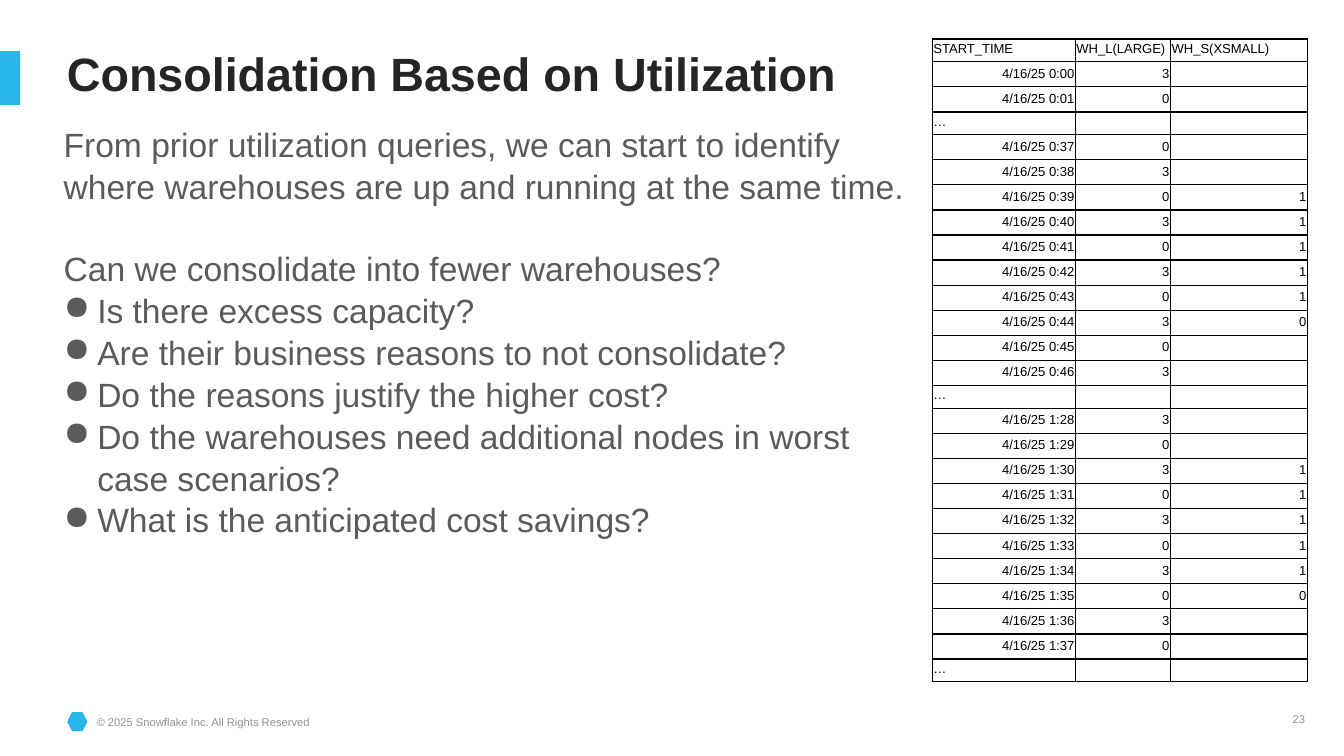
from lxml.etree import SubElement as Sub
from pptx import Presentation
from pptx.dml.color import RGBColor as RGB
from pptx.enum.shapes import MSO_SHAPE as Shape
from pptx.enum.text import MSO_ANCHOR as Anchor, PP_ALIGN as Align
from pptx.oxml.ns import qn
from pptx.util import Pt

COLORS = {"blue": "28B5E8", "title": "252525", "body": "5B5B5B",
          "foot": "929292", "black": "000000"}

INTRO = ["From prior utilization queries, we can start to identify "
         "where warehouses are up and running at the same time.",
         "Can we consolidate into fewer warehouses?"]
POINTS = ["Is there excess capacity?",
          "Are their business reasons to not consolidate?",
          "Do the reasons justify the higher cost?",
          "Do the warehouses need additional nodes in worst case scenarios?",
          "What is the anticipated cost savings?"]

HEAD = ["START_TIME", "WH_L(LARGE)", "WH_S(XSMALL)"]
# Hour, first minute, then one reading a minute for each warehouse ("-" is none)
SPANS = [(0, 0, "30", "--"),
         (0, 37, "0303030303", "--111110--"),
         (1, 28, "3030303030", "--111110--")]


def usage():
    """Return the table rows, with an ellipsis row after each span."""
    rows = [HEAD]
    for hour, first, large, small in SPANS:
        for step, (big, tiny) in enumerate(zip(large, small)):
            rows.append([f"4/16/25 {hour}:{first + step:02}", big,
                         tiny.replace("-", "")])
        rows.append(["…", "", ""])
    return rows


class Deck:
    """Holds the font, the colours and the current slide."""

    def __init__(self, wide, high):
        self.font = "Arial"
        self.file = Presentation()
        self.file.slide_width, self.file.slide_height = Pt(wide), Pt(high)
        self.slide = self.file.slides.add_slide(self.file.slide_layouts[6])

    def color(self, name):
        return RGB.from_string(COLORS[name])

    def style(self, para, size, color, bold=False):
        font = para.font
        font.name, font.size, font.bold = self.font, Pt(size), bold
        font.color.rgb = self.color(color)

    def block(self, kind, x, y, w, h, color):
        shape = self.slide.shapes.add_shape(kind, Pt(x), Pt(y), Pt(w), Pt(h))
        shape.shadow.inherit = False
        shape.fill.solid()
        shape.fill.fore_color.rgb = self.color(color)
        shape.line.fill.background()

    def text(self, x, y, w, h, lines, size, color, bold=False, pad=0,
             align=Align.LEFT, space=1.0):
        """Add a text box and return its paragraphs."""
        box = self.slide.shapes.add_textbox(Pt(x), Pt(y), Pt(w), Pt(h))
        frame = box.text_frame
        frame.word_wrap = True
        frame.margin_left = frame.margin_right = Pt(pad)
        frame.margin_top = frame.margin_bottom = Pt(pad)
        frame.text = "\n".join(lines)
        for para in frame.paragraphs:
            para.alignment, para.line_spacing = align, space
            self.style(para, size, color, bold)
        return frame.paragraphs

    def bullet(self, para, indent, color):
        props = para._p.get_or_add_pPr()
        props.set("marL", str(Pt(indent)))
        props.set("indent", str(-Pt(indent)))
        tint = props.makeelement(qn("a:buClr"))
        Sub(tint, qn("a:srgbClr"), val=COLORS[color])
        mark = props.makeelement(qn("a:buChar"), char="●")
        rest = props.find(qn("a:defRPr"))
        rest.addprevious(tint)
        rest.addprevious(mark)

    def border(self, cell, width, color):
        props = cell._tc.get_or_add_tcPr()
        for spot, side in enumerate(("lnL", "lnR", "lnT", "lnB")):
            line = props.makeelement(qn(f"a:{side}"), w=str(Pt(width)))
            fill = Sub(line, qn("a:solidFill"))
            Sub(fill, qn("a:srgbClr"), val=COLORS[color])
            props.insert(spot, line)

    def cell(self, cell, text, size, right):
        cell.fill.background()
        cell.vertical_anchor = Anchor.BOTTOM
        cell.margin_left = cell.margin_right = cell.margin_top = Pt(0.6)
        cell.margin_bottom = Pt(3.2)
        cell.text = text
        para = cell.text_frame.paragraphs[0]
        if right:
            para.alignment, para.line_spacing = Align.RIGHT, 1.15
        self.style(para, size, "black")
        if not text:
            Sub(para._p, qn("a:endParaRPr"), sz=str(size * 100))
        self.border(cell, 0.75, "black")

    def table(self, x, y, cols, rows, size):
        full, short = 13.13, 12.1
        highs = [full if row[1].isdigit() else short for row in rows]
        frame = self.slide.shapes.add_table(
            len(rows), len(cols), Pt(x), Pt(y), Pt(sum(cols)), Pt(sum(highs)))
        table = frame.table
        table.first_row = table.horz_banding = False
        for col, wide in zip(table.columns, cols):
            col.width = Pt(wide)
        for line, high, row in zip(table.rows, highs, rows):
            line.height = Pt(high)
            for cell, text in zip(line.cells, row):
                self.cell(cell, text, size, right=text[-1:].isdigit())


def main():
    deck = Deck(720, 405)
    deck.block(Shape.HEXAGON, 36, 381.6, 10.8, 10.1, "blue")
    deck.text(51.8, 383, 132.5, 7.2,
              ["© 2025 Snowflake Inc. All Rights Reserved"], 6, "foot")
    deck.text(656, 380.2, 44.6, 10.8, ["23"], 6, "foot", pad=1.5,
              align=Align.RIGHT)
    deck.block(Shape.RECTANGLE, 0, 27.4, 10.8, 28.8, "blue")
    deck.text(28.8, 21.6, 655.2, 28.8, ["Consolidation Based on Utilization"],
              25, "title", bold=True, pad=7.2, space=0.85)
    deck.table(499.5, 20.9, [76.6, 51, 73.4], usage(), 7)
    body = deck.text(30.5, 61.9, 464.4, 289.4, INTRO + POINTS, 18, "body",
                     pad=3.6, space=1.04)
    body[1].space_before = Pt(21.6)
    for para in body[len(INTRO):]:
        deck.bullet(para, 18, "body")
    deck.file.save("out.pptx")


if __name__ == "__main__":
    main()
